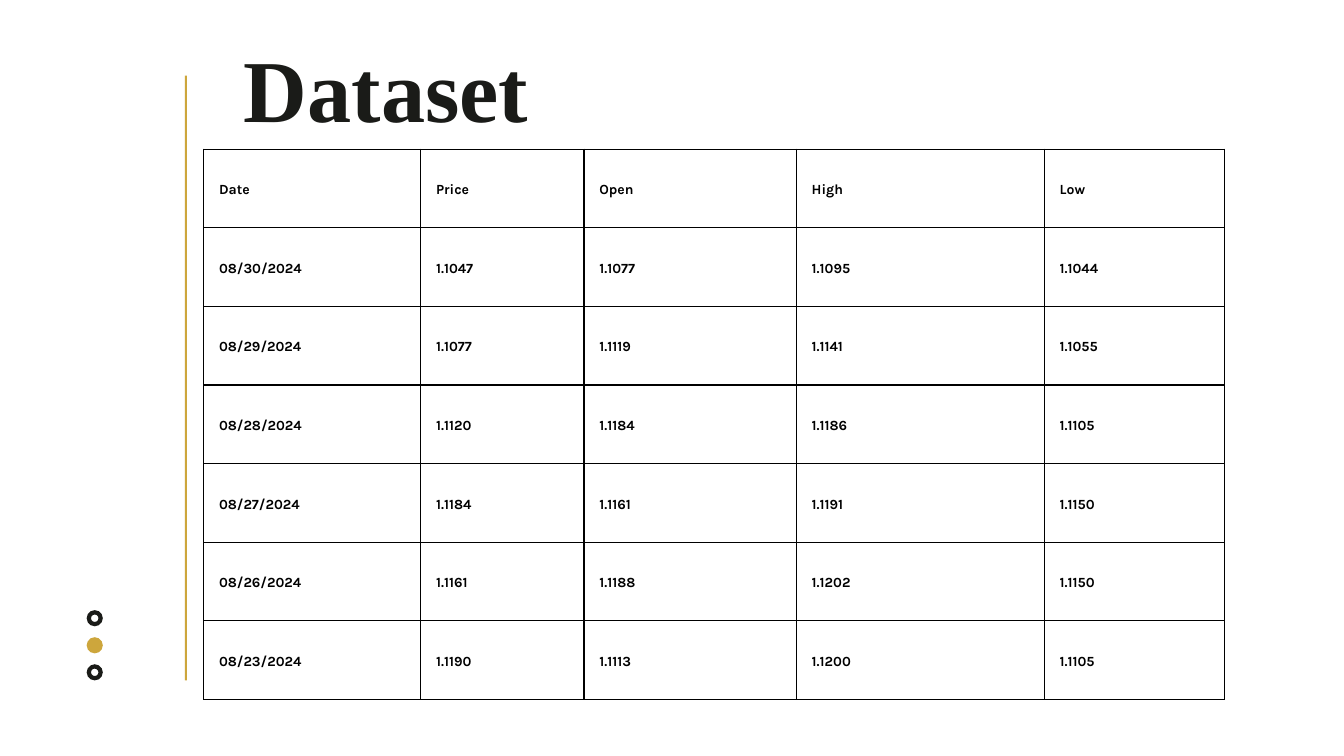
from collections import namedtuple
from dataclasses import dataclass

from lxml.etree import SubElement
from pptx import Presentation
from pptx.dml.color import RGBColor as Color
from pptx.enum.shapes import MSO_SHAPE as Preset
from pptx.enum.text import MSO_ANCHOR as Anchor
from pptx.oxml.ns import qn
from pptx.util import Inches, Pt

UNIT = Inches(0.25)  # the page is a grid of 80 columns by 45 rows
COLUMNS, ROWS = 80, 45

Box = namedtuple("Box", "left top width height")


@dataclass(frozen=True)
class Theme:
    ink: Color = Color.from_string("1A1B18")
    gold: Color = Color.from_string("CDA63C")
    black: Color = Color.from_string("000000")
    title_font: str = "Times New Roman"
    table_font: str = "Karla"
    title_size: float = 94.6
    title_leading: float = 104
    table_size: float = 15
    table_leading: float = 21
    border_width: float = 1.5


THEME = Theme()

HEADER = ("Date", "Price", "Open", "High", "Low")
RATES = (
    ("08/30/2024", "1.1047", "1.1077", "1.1095", "1.1044"),
    ("08/29/2024", "1.1077", "1.1119", "1.1141", "1.1055"),
    ("08/28/2024", "1.1120", "1.1184", "1.1186", "1.1105"),
    ("08/27/2024", "1.1184", "1.1161", "1.1191", "1.1150"),
    ("08/26/2024", "1.1161", "1.1188", "1.1202", "1.1150"),
    ("08/23/2024", "1.1190", "1.1113", "1.1200", "1.1105"),
)
COLUMN_WIDTHS = (12.92, 9.72, 12.64, 14.76, 10.72)


def grid(value):
    return round(value * UNIT)


def place(box):
    return [grid(value) for value in box]


def set_values(target, values):
    for name, value in values.items():
        setattr(target, name, value)


def write(frame, text, leading, font):
    para = frame.paragraphs[0]
    para.line_spacing = Pt(leading)
    span = para.add_run()
    span.text = text
    span.font.color.rgb = font["color"]
    set_values(span.font, {"name": font["name"], "size": Pt(font["size"]), "bold": True})


def add_solid(page, preset, box, color):
    shape = page.shapes.add_shape(preset, *place(box))
    shape.shadow.inherit = False
    shape.fill.solid()
    shape.fill.fore_color.rgb = color
    shape.line.fill.background()
    return shape


def add_page_dots(page, box):
    """Stack three dots down the box: ring, gold disc, ring."""
    size = box.width
    step = (box.height - size) / 2
    for index in range(3):
        dot = Box(box.left, box.top + index * step, size, size)
        if index == 1:
            add_solid(page, Preset.OVAL, dot, THEME.gold)
        else:
            ring = add_solid(page, Preset.DONUT, dot, THEME.ink)
            ring.adjustments[0] = 0.27


def add_title(page, box, text):
    frame = page.shapes.add_textbox(*place(box)).text_frame
    set_values(frame, {
        "word_wrap": True,
        "margin_left": 0, "margin_right": 0, "margin_top": 0, "margin_bottom": 0,
    })
    write(frame, text, THEME.title_leading,
          {"name": THEME.title_font, "size": THEME.title_size, "color": THEME.ink})


def add_borders(cell):
    properties = cell._tc.get_or_add_tcPr()
    for index, side in enumerate(("lnL", "lnR", "lnT", "lnB")):
        line = properties.makeelement(qn(f"a:{side}"), {"w": str(Pt(THEME.border_width))})
        fill = SubElement(line, qn("a:solidFill"))
        SubElement(fill, qn("a:srgbClr"), val=str(THEME.black))
        properties.insert(index, line)


def add_rate_table(page, box, records):
    table = page.shapes.add_table(len(records), len(records[0]), *place(box)).table
    set_values(table, {"first_row": False, "horz_banding": False})
    for column, width in zip(table.columns, COLUMN_WIDTHS):
        column.width = grid(width)
    cell_format = {
        "vertical_anchor": Anchor.MIDDLE,
        "margin_left": grid(0.92), "margin_right": grid(0.48),
        "margin_top": grid(0.48), "margin_bottom": grid(0.48),
    }
    font = {"name": THEME.table_font, "size": THEME.table_size, "color": THEME.black}
    for row, record in zip(table.rows, records):
        row.height = grid(box.height / len(records))
        for cell, text in zip(row.cells, record):
            set_values(cell, cell_format)
            cell.fill.background()
            add_borders(cell)
            write(cell.text_frame, text, THEME.table_leading, font)


def main():
    deck = Presentation()
    set_values(deck, {"slide_width": grid(COLUMNS), "slide_height": grid(ROWS)})
    page = deck.slides.add_slide(deck.slide_layouts[6])
    add_solid(page, Preset.RECTANGLE, Box(11, 4.5, 0.12, 36), THEME.gold)
    add_page_dots(page, Box(5.16, 36.32, 0.96, 4.18))
    add_rate_table(page, Box(12.12, 8.88, sum(COLUMN_WIDTHS), 32.76), (HEADER, *RATES))
    add_title(page, Box(14.52, 2.56, 28, 5.92), "Dataset")
    deck.save("out.pptx")


if __name__ == "__main__":
    main()
